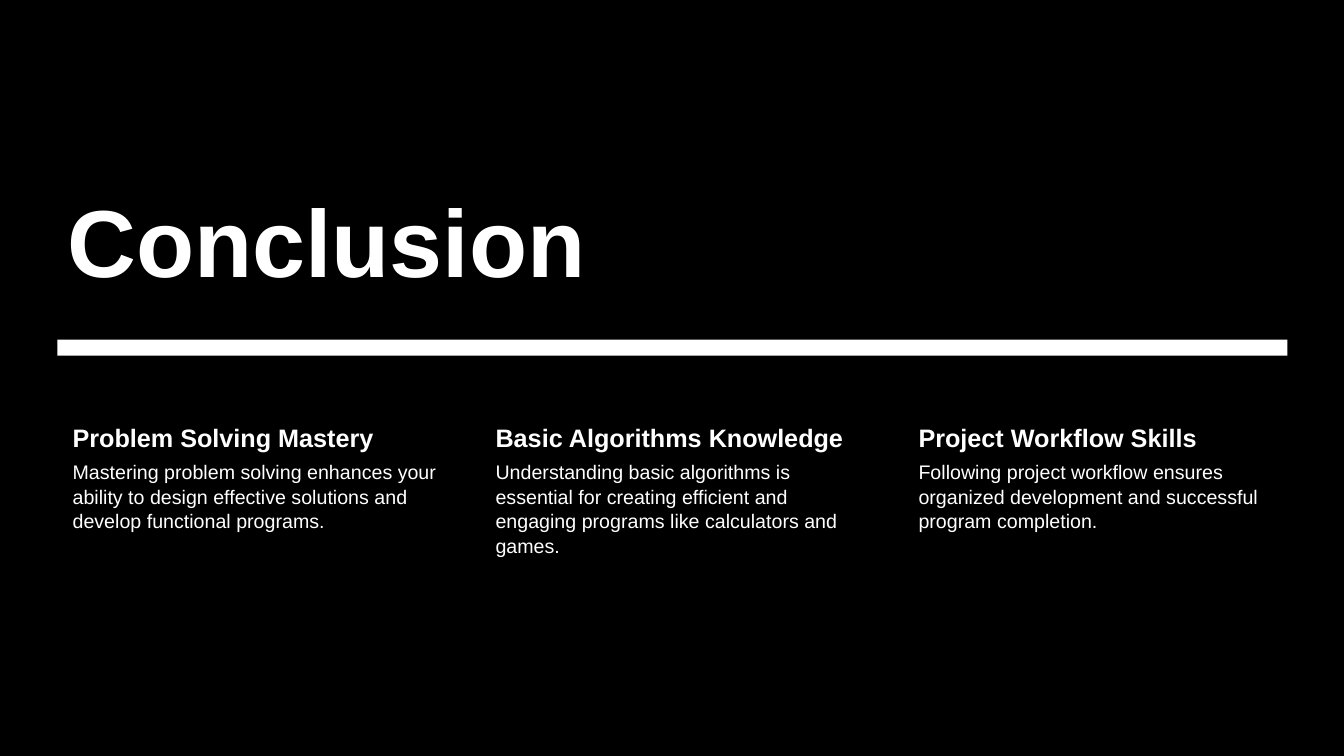
from pptx import Presentation
from pptx.dml.color import RGBColor
from pptx.enum.shapes import MSO_SHAPE
from pptx.enum.text import MSO_ANCHOR
from pptx.util import Inches, Pt

WIDE, HIGH = 13.33, 7.5
LEFT, SPAN = 0.57, 12.2
COL, STEP = 3.81, 4.195
COLORS = {"back": "000000", "ink": "FFFFFF"}
POINTS = [
    ("Problem Solving Mastery",
     "Mastering problem solving enhances your ability to design effective "
     "solutions and develop functional programs."),
    ("Basic Algorithms Knowledge",
     "Understanding basic algorithms is essential for creating efficient and "
     "engaging programs like calculators and games."),
    ("Project Workflow Skills",
     "Following project workflow ensures organized development and "
     "successful program completion."),
]


def color(name):
    return RGBColor.from_string(COLORS[name])


def add_block(slide, box, name):
    block = slide.shapes.add_shape(MSO_SHAPE.RECTANGLE, *map(Inches, box))
    block.shadow.inherit = False
    block.fill.solid()
    block.fill.fore_color.rgb = color(name)
    block.line.fill.background()


def add_text(slide, box, text, size, bold=False, pad=(0.1, 0.05),
             anchor=MSO_ANCHOR.TOP, lead=1.0):
    frame = slide.shapes.add_textbox(*map(Inches, box)).text_frame
    frame.word_wrap = True
    frame.vertical_anchor = anchor
    side, edge = map(Inches, pad)
    frame.margin_left = side
    frame.margin_top = frame.margin_right = frame.margin_bottom = edge
    para = frame.paragraphs[0]
    para.text = text
    para.line_spacing = lead
    font = para.font
    font.name, font.size, font.bold = "Arial", Pt(size), bold
    font.color.rgb = color("ink")


def add_point(slide, col, head, body):
    left = LEFT + col * STEP
    add_text(slide, (left, 4.14, COL, 0.39), head, 18, True,
             pad=(0.15, 0.03), lead=1.05)
    add_text(slide, (left, 4.53, COL, 2.29), body, 14,
             pad=(0.15, 0.02), lead=1.05)


def main():
    deck = Presentation()
    deck.slide_width, deck.slide_height = Inches(WIDE), Inches(HIGH)
    slide = deck.slides.add_slide(deck.slide_layouts[6])
    slide.background.fill.solid()
    slide.background.fill.fore_color.rgb = color("back")
    add_block(slide, (0, 0, WIDE, HIGH), "back")
    add_block(slide, (LEFT, 3.37, SPAN, 0.16), "ink")
    add_text(slide, (LEFT, 1.45, SPAN, 1.54), "Conclusion", 68, True,
             anchor=MSO_ANCHOR.BOTTOM)
    for col, (head, body) in enumerate(POINTS):
        add_point(slide, col, head, body)
    deck.save("out.pptx")


if __name__ == "__main__":
    main()
